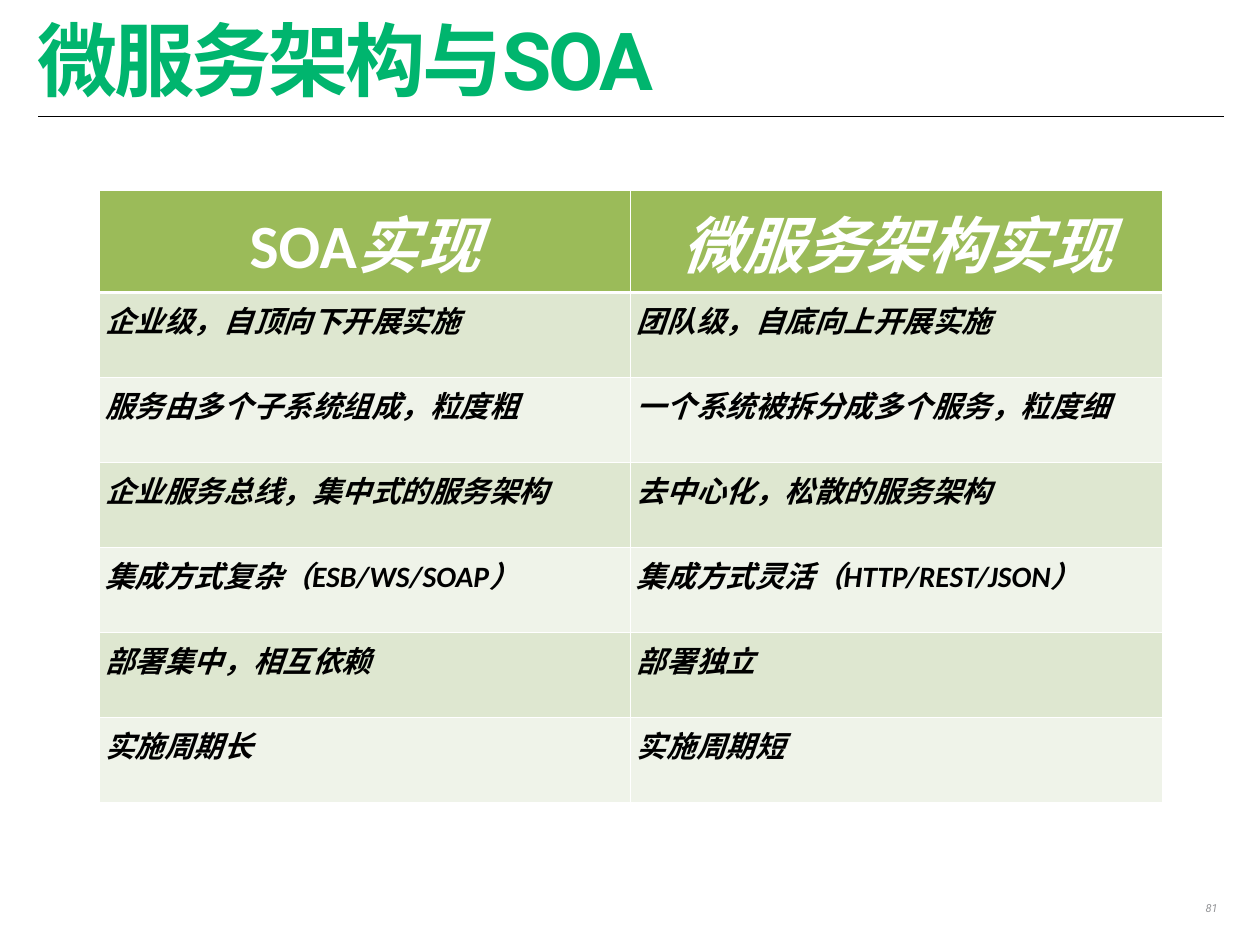
"""Build a slide comparing SOA with microservice architecture."""
from lxml import etree
from pptx import Presentation
from pptx.dml.color import RGBColor
from pptx.enum.shapes import MSO_CONNECTOR
from pptx.enum.text import MSO_ANCHOR, MSO_AUTO_SIZE, PP_ALIGN
from pptx.oxml.ns import qn
from pptx.util import Cm, Pt

STRAIGHT = MSO_CONNECTOR.STRAIGHT
TOP, MIDDLE = MSO_ANCHOR.TOP, MSO_ANCHOR.MIDDLE
NO_AUTOFIT = MSO_AUTO_SIZE.NONE
LEFT, CENTER, RIGHT = PP_ALIGN.LEFT, PP_ALIGN.CENTER, PP_ALIGN.RIGHT

HEADER_FILL = "9BBB59"
BAND_FILLS = ("EFF3E9", "DEE7D0")
COMPARISON = [
    (("SOA", "实现"), ("微服务架构实现",)),
    (("企业级，自顶向下开展实施",), ("团队级，自底向上开展实施",)),
    (("服务由多个子系统组成，粒度粗",), ("一个系统被拆分成多个服务，粒度细",)),
    (("企业服务总线，集中式的服务架构",), ("去中心化，松散的服务架构",)),
    (("集成方式复杂（ESB/WS/SOAP）",), ("集成方式灵活（HTTP/REST/JSON）",)),
    (("部署集中，相互依赖",), ("部署独立",)),
    (("实施周期长",), ("实施周期短",)),
]


def set_font(font, name, size, color, bold=False):
    font.name = name
    font.size = Pt(size)
    font.bold = bold
    font.color.rgb = RGBColor.from_string(color)


def add_border(cell, side, width):
    line = etree.SubElement(cell._tc.get_or_add_tcPr(), qn(f"a:ln{side}"), w=str(Pt(width)))
    fill = etree.SubElement(line, qn("a:solidFill"))
    etree.SubElement(fill, qn("a:srgbClr"), val="FFFFFF")


presentation = Presentation()
presentation.slide_width = Cm(36.12)
presentation.slide_height = Cm(27.1)
slide = presentation.slides.add_slide(presentation.slide_layouts[5])

title = slide.shapes.title
title.left, title.top, title.width, title.height = Cm(1.07), Cm(0.66), Cm(34.01), Cm(2.74)
title_frame = title.text_frame
title_frame.text = "微服务架构与SOA"
title_frame.auto_size = NO_AUTOFIT
title_frame.vertical_anchor = MIDDLE
title_frame.margin_left = title_frame.margin_right = Cm(0)
title_frame.margin_top = title_frame.margin_bottom = Cm(0)
paragraph = title_frame.paragraphs[0]
paragraph.alignment = LEFT
paragraph.line_spacing = 0.7
set_font(paragraph.font, "Roboto", 65.1, "00B56E", bold=True)
paragraph.runs[0]._r.get_or_add_rPr().set("spc", "-260")

title_rule = slide.shapes.add_connector(STRAIGHT, Cm(1.09), Cm(3.33), Cm(35.08), Cm(3.33))
title_rule.line.width = Pt(1)
title_rule.line.color.rgb = RGBColor.from_string("000000")
etree.SubElement(title_rule._element.spPr, qn("a:effectLst"))

table = slide.shapes.add_table(
    len(COMPARISON), 2, Cm(2.84), Cm(5.46), Cm(30.48), Cm(17.08)
).table
for row_index, row in enumerate(COMPARISON):
    is_header = row_index == 0
    for column_index, texts in enumerate(row):
        cell = table.cell(row_index, column_index)
        cell.margin_left = cell.margin_right = Cm(0.18)
        cell.margin_top = cell.margin_bottom = Cm(0.18)
        cell.vertical_anchor = MIDDLE if is_header else TOP
        for side in "LRTB":
            under_header = (row_index, side) in ((0, "B"), (1, "T"))
            add_border(cell, side, 3 if under_header else 1)
        cell.fill.solid()
        cell.fill.fore_color.rgb = RGBColor.from_string(
            HEADER_FILL if is_header else BAND_FILLS[row_index % 2]
        )
        paragraph = cell.text_frame.paragraphs[0]
        paragraph.alignment = CENTER if is_header else LEFT
        for text in texts:
            run = paragraph.add_run()
            run.text = text
            run.font.italic = text != "SOA"
        size, color = (50, "FFFFFF") if is_header else (24, "000000")
        set_font(paragraph.font, "Calibri", size, color, bold=True)

page_number = slide.shapes.add_textbox(Cm(34.32), Cm(25.7), Cm(0.74), Cm(0.81))
number_frame = page_number.text_frame
number_frame.word_wrap = False
number_frame.margin_left = number_frame.margin_right = Cm(0.15)
number_frame.margin_top = number_frame.margin_bottom = Cm(0.15)
number_frame.text = "81"
paragraph = number_frame.paragraphs[0]
paragraph.alignment = RIGHT
set_font(paragraph.font, "Roboto", 9, "929396")
paragraph.font.italic = True

presentation.save("out.pptx")
